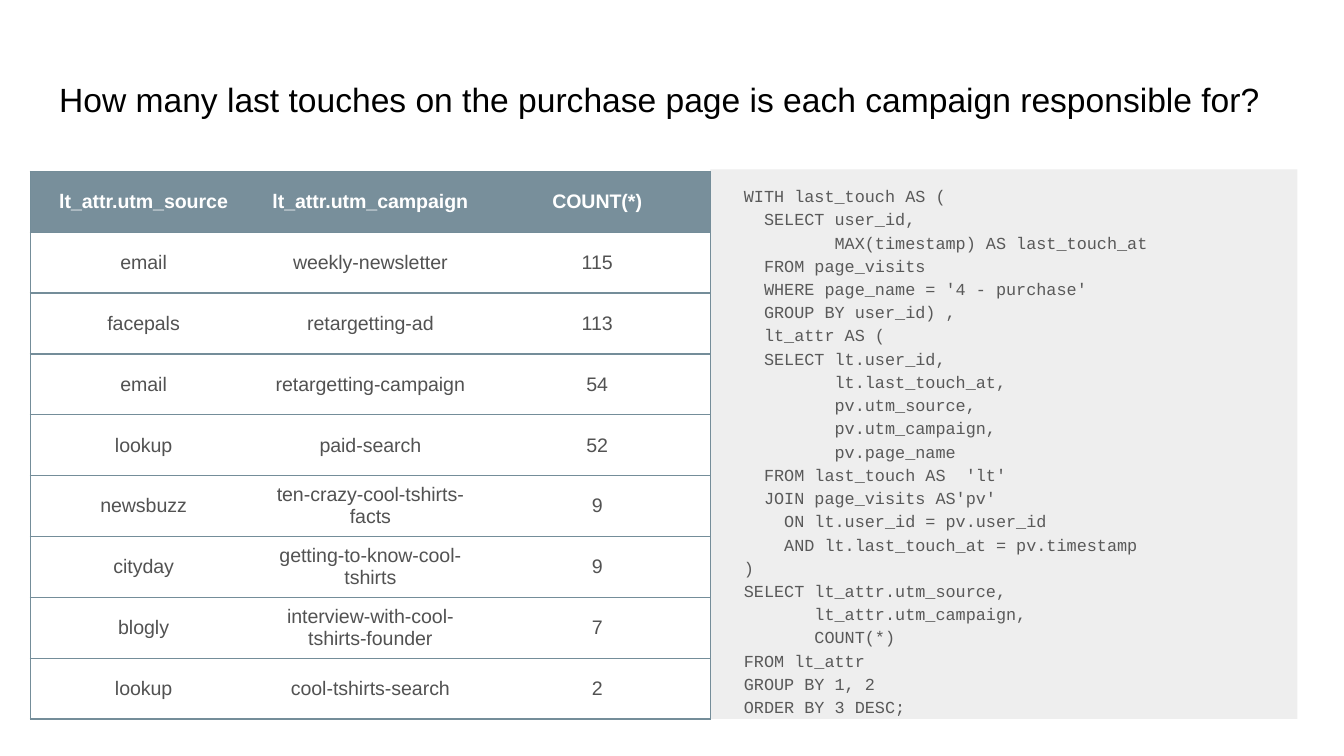
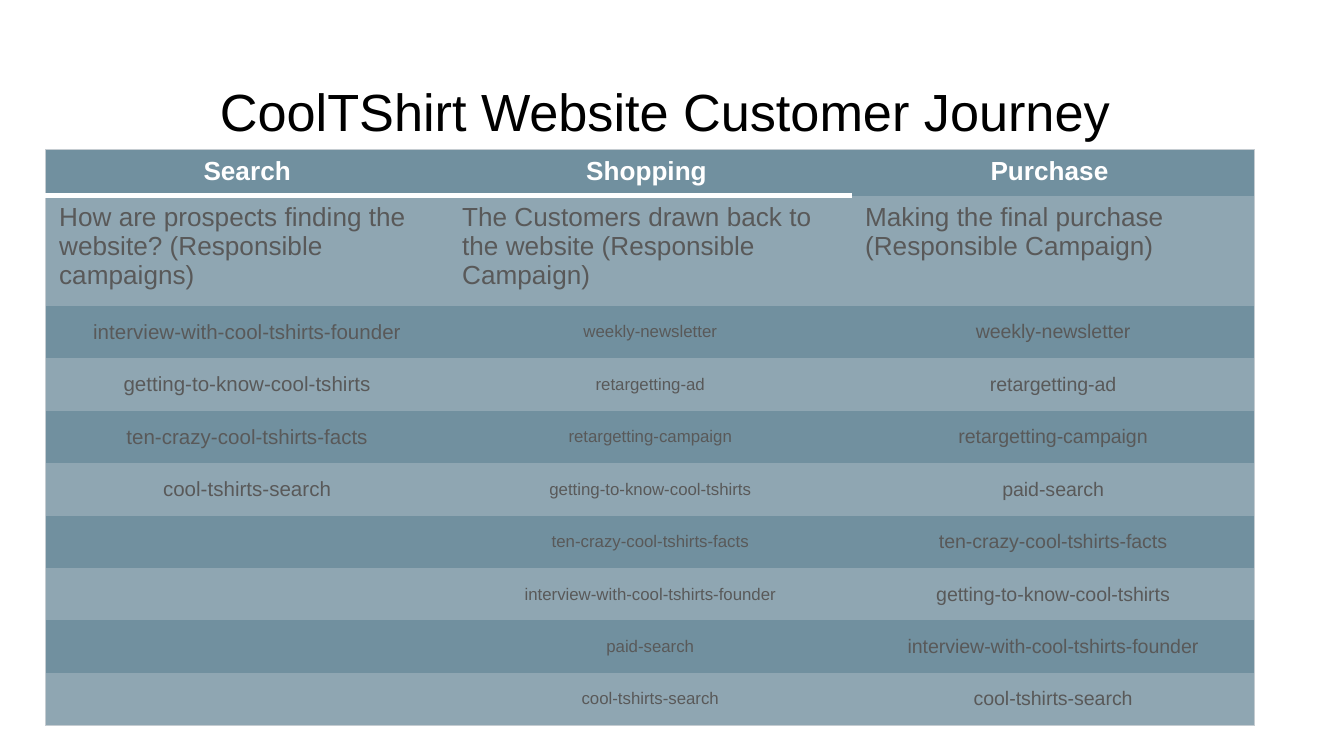
from lxml.etree import SubElement
from pptx import Presentation
from pptx.dml.color import RGBColor
from pptx.enum.text import MSO_ANCHOR as Anchor, MSO_AUTO_SIZE as AutoSize, PP_ALIGN as Align
from pptx.oxml.ns import qn
from pptx.util import Pt

FONT, CODE_FONT = "Arial", "Courier New"
BLACK, WHITE, GREY, TABLE_GREY = "000000", "FFFFFF", "595959", "525252"
PANEL = "EEEEEE"
HEADER, GRID = "788F9B", "748D99"
BAND_DARK, BAND_LIGHT, FRAME = "71909F", "8FA6B2", "C5CCD1"
NO_STYLE = "{2D5ABB26-0587-4C30-8999-92F81FD0307C}"
TITLE_AND_BODY, TITLE_ONLY = 1, 5

TOUCHES = [
    ("lt_attr.utm_source", "lt_attr.utm_campaign", "COUNT(*)"),
    ("email", "weekly-newsletter", "115"),
    ("facepals", "retargetting-ad", "113"),
    ("email", "retargetting-campaign", "54"),
    ("lookup", "paid-search", "52"),
    ("newsbuzz", "ten-crazy-cool-tshirts-facts", "9"),
    ("cityday", "getting-to-know-cool-tshirts", "9"),
    ("blogly", "interview-with-cool-tshirts-founder", "7"),
    ("lookup", "cool-tshirts-search", "2"),
]

QUERY = """\
WITH last_touch AS (
  SELECT user_id,
         MAX(timestamp) AS last_touch_at
  FROM page_visits
  WHERE page_name = '4 - purchase'
  GROUP BY user_id) ,
  lt_attr AS (
  SELECT lt.user_id,
         lt.last_touch_at,
         pv.utm_source,
         pv.utm_campaign,
         pv.page_name
  FROM last_touch AS  'lt'
  JOIN page_visits AS'pv'
    ON lt.user_id = pv.user_id
    AND lt.last_touch_at = pv.timestamp
)
SELECT lt_attr.utm_source,
       lt_attr.utm_campaign,
       COUNT(*)
FROM lt_attr
GROUP BY 1, 2
ORDER BY 3 DESC;"""

JOURNEY = [
    ("Search", "Shopping ", "Purchase "),
    ("How are prospects finding the website? (Responsible campaigns)",
     "The Customers drawn back to the website (Responsible Campaign)",
     "Making the final purchase\n(Responsible Campaign)"),
    ("interview-with-cool-tshirts-founder", "weekly-newsletter", "weekly-newsletter"),
    ("getting-to-know-cool-tshirts", "retargetting-ad", "retargetting-ad"),
    ("ten-crazy-cool-tshirts-facts", "retargetting-campaign", "retargetting-campaign"),
    ("cool-tshirts-search", "getting-to-know-cool-tshirts", "paid-search"),
    ("", "ten-crazy-cool-tshirts-facts", "ten-crazy-cool-tshirts-facts"),
    ("", "interview-with-cool-tshirts-founder", "getting-to-know-cool-tshirts"),
    ("", "paid-search", "interview-with-cool-tshirts-founder"),
    ("", "cool-tshirts-search", "cool-tshirts-search"),
]
CAMPAIGN_SIZES = (11, 9, 10.5)


def rgb(color):
    return RGBColor.from_string(color)


def style(paragraph, size, color, align=Align.LEFT, bold=False, name=FONT):
    paragraph.alignment = align
    font = paragraph.font
    font.name, font.size, font.bold = name, Pt(size), bold
    font.color.rgb = rgb(color)


def place(shape, left, top, width, height):
    shape.left, shape.top = Pt(left), Pt(top)
    shape.width, shape.height = Pt(width), Pt(height)


def set_up_frame(frame, text):
    """Fill a placeholder's text frame, with the same inset on all sides."""
    frame.text = text
    frame.word_wrap = True
    frame.auto_size = AutoSize.NONE
    frame.vertical_anchor = Anchor.TOP
    frame.margin_left = frame.margin_right = Pt(7.2)
    frame.margin_top = frame.margin_bottom = Pt(7.2)


def add_titled_slide(presentation, layout, text, size, align=Align.LEFT):
    slide = presentation.slides.add_slide(presentation.slide_layouts[layout])
    title = slide.shapes.title
    place(title, 24.5, 35.3, 671, 45.4)
    set_up_frame(title.text_frame, text)
    style(title.text_frame.paragraphs[0], size, BLACK, align)
    return slide


def fill_code_panel(shape, code):
    place(shape, 380.5, 90.7, 314.6, 294.5)
    shape.fill.solid()
    shape.fill.fore_color.rgb = rgb(PANEL)
    set_up_frame(shape.text_frame, code)
    for paragraph in shape.text_frame.paragraphs:
        properties = paragraph._p.get_or_add_pPr()
        properties.set("marL", str(Pt(10.8)))
        properties.set("indent", "0")
        SubElement(properties, qn("a:buNone"))
        paragraph.line_spacing = 1.15
        paragraph.space_before = Pt(0)
        style(paragraph, 9, GREY, name=CODE_FONT)


def add_plain_table(slide, left, top, column_width, row_heights, columns=3):
    shape = slide.shapes.add_table(len(row_heights), columns, Pt(left), Pt(top),
                                   Pt(column_width * columns), Pt(sum(row_heights)))
    table = shape.table
    table._tbl.tblPr.find(qn("a:tableStyleId")).text = NO_STYLE
    for column in table.columns:
        column.width = Pt(column_width)
    for row, height in zip(table.rows, row_heights):
        row.height = Pt(height)
    return table


def fill_cell(cell, text, fill, size, color, align=Align.CENTER, bold=False,
              anchor=Anchor.MIDDLE):
    cell.text = text
    cell.vertical_anchor = anchor
    for paragraph in cell.text_frame.paragraphs:
        style(paragraph, size, color, align, bold)
    cell.fill.solid()
    cell.fill.fore_color.rgb = rgb(fill)


def set_borders(cell, borders):
    """Draw borders given as {side: (color, width)}, with sides L, R, T and B."""
    properties = cell._tc.get_or_add_tcPr()
    sides = [side for side in "LRTB" if side in borders]
    for position, side in enumerate(sides):
        color, width = borders[side]
        line = SubElement(properties, qn(f"a:ln{side}"), w=str(Pt(width)))
        solid = SubElement(line, qn("a:solidFill"))
        SubElement(solid, qn("a:srgbClr"), val=color)
        properties.insert(position, line)


def outer_sides(row, column, rows, columns):
    edges = {"L": column == 0, "R": column == columns - 1,
             "T": row == 0, "B": row == rows - 1}
    return {side for side, outer in edges.items() if outer}


def add_touches_table(slide):
    table = add_plain_table(slide, 16.2, 91.8, 121.5, [32.6] * len(TOUCHES))
    for i, row in enumerate(TOUCHES):
        fill, color = (HEADER, WHITE) if i == 0 else (WHITE, TABLE_GREY)
        for j, text in enumerate(row):
            cell = table.cell(i, j)
            fill_cell(cell, text, fill, 10.5, color, bold=i == 0)
            sides = outer_sides(i, j, len(TOUCHES), len(row)) | {"T", "B"}
            set_borders(cell, {side: (GRID, 0.75) for side in sides})


def add_journey_table(slide):
    heights = [24.7, 59] + [28.1] * (len(JOURNEY) - 2)
    table = add_plain_table(slide, 24.5, 80.2, 215.9, heights)
    for i, row in enumerate(JOURNEY):
        fill = BAND_LIGHT if i % 2 else BAND_DARK
        for j, text in enumerate(row):
            cell = table.cell(i, j)
            borders = {side: (FRAME, 0.75)
                       for side in outer_sides(i, j, len(JOURNEY), len(row))}
            if i == 0:
                fill_cell(cell, text, fill, 14, WHITE, bold=True, anchor=Anchor.TOP)
                if j < 2:
                    borders["B"] = (WHITE, 3)
            elif i == 1:
                fill_cell(cell, text, fill, 14, GREY, Align.LEFT, anchor=Anchor.TOP)
            else:
                fill_cell(cell, text, fill, CAMPAIGN_SIZES[j], GREY)
            set_borders(cell, borders)


def main():
    presentation = Presentation()
    presentation.slide_width, presentation.slide_height = Pt(720), Pt(405)

    touches = add_titled_slide(
        presentation, TITLE_AND_BODY,
        "How many last touches on the purchase page is each campaign responsible for?", 18)
    fill_code_panel(touches.placeholders[1], QUERY)
    add_touches_table(touches)

    journey = add_titled_slide(presentation, TITLE_ONLY,
                               "CoolTShirt Website Customer Journey ", 28, Align.CENTER)
    add_journey_table(journey)

    presentation.save("out.pptx")


if __name__ == "__main__":
    main()
